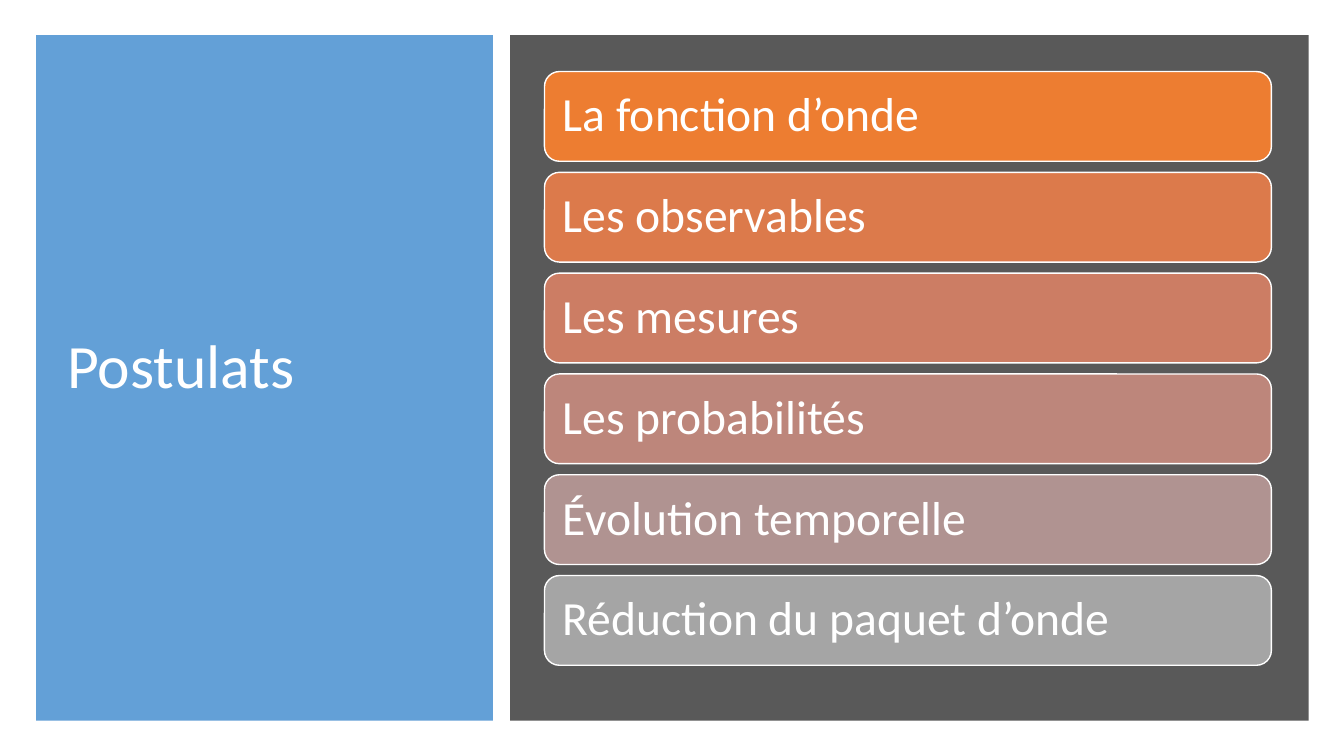
from lxml.etree import SubElement
from pptx import Presentation
from pptx.dml.color import RGBColor
from pptx.enum.shapes import MSO_SHAPE
from pptx.enum.text import MSO_ANCHOR, PP_ALIGN
from pptx.oxml.ns import qn
from pptx.util import Inches, Pt

COLORS = {
    "white": "FFFFFF",
    "title_panel": "5B9BD5",
    "list_panel": "595959",
    "wave": "ED7D31",
    "observables": "DC7A4B",
    "measures": "CC7D64",
    "probabilities": "BD867B",
    "evolution": "B09391",
    "reduction": "A5A5A5",
}

POSTULATES = [
    ("La fonction d’onde", "wave"),
    ("Les observables", "observables"),
    ("Les mesures", "measures"),
    ("Les probabilités", "probabilities"),
    ("Évolution temporelle", "evolution"),
    ("Réduction du paquet d’onde", "reduction"),
]


class PageBuilder:
    font = "Calibri"

    def __init__(self, page):
        self.page = page

    def color(self, name):
        return RGBColor.from_string(COLORS[name])

    def shape(self, kind, left, top, width, height, fill):
        box = self.page.shapes.add_shape(
            kind, Inches(left), Inches(top), Inches(width), Inches(height))
        box.shadow.inherit = False
        box.fill.solid()
        box.fill.fore_color.rgb = self.color(fill)
        return box

    def panel(self, left, width, fill, opacity=100):
        box = self.shape(MSO_SHAPE.RECTANGLE, left, 0.35, width, 6.8, fill)
        box.line.fill.background()
        if opacity < 100:
            tint = box.element.spPr.find(qn("a:solidFill")).find(qn("a:srgbClr"))
            SubElement(tint, qn("a:alpha"), val=str(opacity * 1000))

    def add_text(self, box, text, size):
        frame = box.text_frame
        frame.word_wrap = True
        frame.vertical_anchor = MSO_ANCHOR.MIDDLE
        para = frame.paragraphs[0]
        para.alignment = PP_ALIGN.LEFT
        para.line_spacing = 0.9
        span = para.add_run()
        span.text = text
        span.font.name = self.font
        span.font.size = Pt(size)
        span.font.color.rgb = self.color("white")
        return frame

    def title(self, text):
        box = self.page.shapes.add_textbox(
            Inches(0.57), Inches(0.64), Inches(4.07), Inches(6.04))
        self.add_text(box, text, 44)

    def bar(self, top, text, fill):
        box = self.shape(MSO_SHAPE.ROUNDED_RECTANGLE, 5.4, top, 7.21, 0.89, fill)
        box.line.color.rgb = self.color("white")
        box.line.width = Pt(1)
        frame = self.add_text(box, text, 34)
        frame.margin_left = frame.margin_right = Inches(0.14)
        frame.margin_top = frame.margin_bottom = Inches(0.14)


def main():
    deck = Presentation()
    deck.slide_width = Inches(13.33)
    deck.slide_height = Inches(7.5)
    builder = PageBuilder(deck.slides.add_slide(deck.slide_layouts[6]))
    builder.panel(0.36, 4.53, "title_panel", opacity=95)
    builder.title("Postulats")
    builder.panel(5.06, 7.92, "list_panel")
    for row, (text, fill) in enumerate(POSTULATES):
        builder.bar(0.71 + row, text, fill)
    deck.save("out.pptx")


if __name__ == "__main__":
    main()
